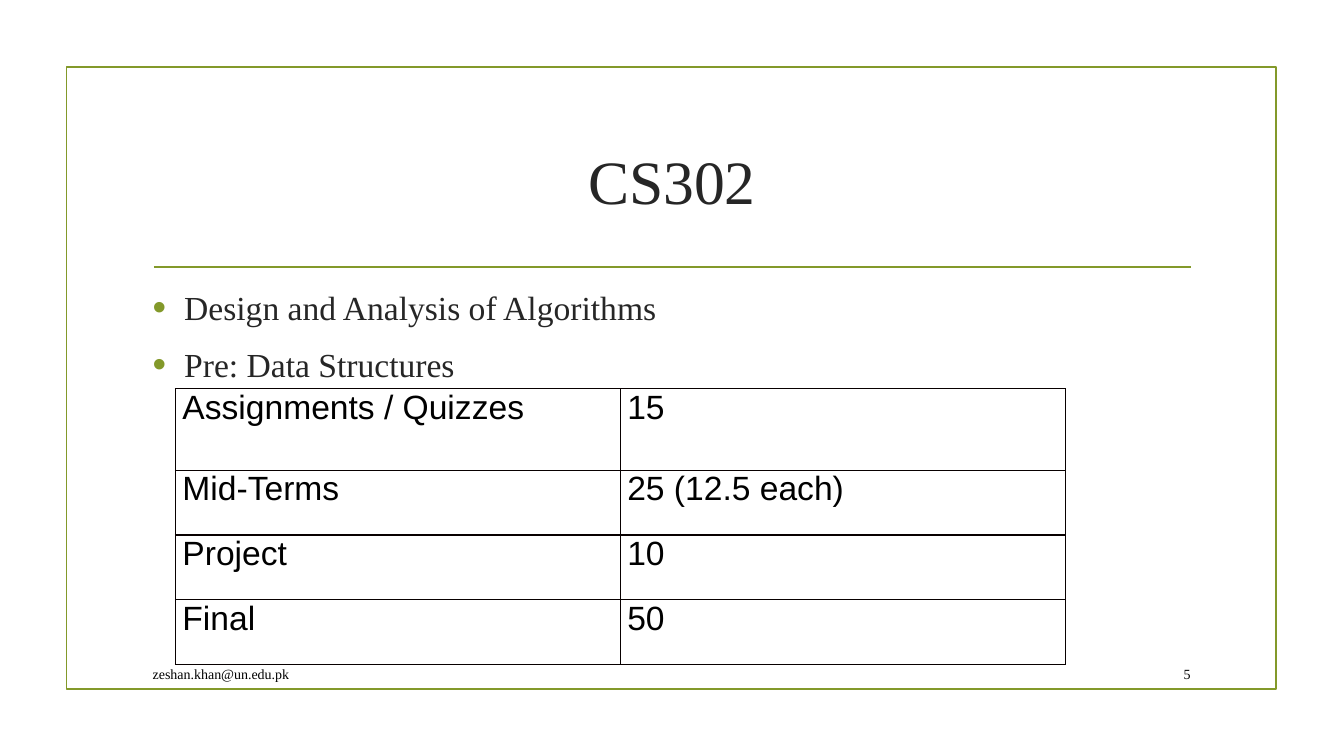
from dataclasses import dataclass

from lxml.etree import SubElement
from pptx import Presentation
from pptx.dml.color import RGBColor
from pptx.enum.shapes import MSO_CONNECTOR as Connector, MSO_SHAPE as Shape
from pptx.enum.text import MSO_ANCHOR as Anchor, PP_ALIGN as Align
from pptx.oxml import parse_xml
from pptx.oxml.ns import nsdecls, qn
from pptx.util import Pt


@dataclass(frozen=True)
class Theme:
    green: str = "83992A"
    ink: str = "262626"
    black: str = "000000"
    grid: str = "080000"
    serif: str = "Times New Roman"
    sans: str = "Arial"
    title: int = 44
    body: int = 24
    footer: int = 10
    rule: float = 1.25
    grid_width: float = 1


THEME = Theme()
GRADING = [
    ("Assignments / Quizzes", "15"),
    ("Mid-Terms", "25 (12.5 each)"),
    ("Project", "10"),
    ("Final", "50"),
]


def rgb(color):
    return RGBColor.from_string(color)


def write(para, text, *, size, font=THEME.serif, color=THEME.ink, align=Align.LEFT):
    para.alignment = align
    span = para.add_run()
    span.text = text
    span.font.size = Pt(size)
    span.font.name = font
    span.font.color.rgb = rgb(color)


def add_text(page, left, top, width, height, lines, *, anchor=Anchor.MIDDLE,
             bullets=False, **style):
    box = page.shapes.add_textbox(Pt(left), Pt(top), Pt(width), Pt(height))
    frame = box.text_frame
    frame.word_wrap = True
    frame.vertical_anchor = anchor
    for index, line in enumerate(lines):
        para = frame.add_paragraph() if index else frame.paragraphs[0]
        write(para, line, **style)
        if bullets:
            add_bullet(para)


def add_bullet(para):
    para.space_before, para.space_after = Pt(5.5), Pt(6)
    props = para._p.get_or_add_pPr()
    props.set("marL", str(Pt(22.5)))
    props.set("indent", str(-Pt(22.5)))
    color = SubElement(props, qn("a:buClr"))
    SubElement(color, qn("a:srgbClr"), val=THEME.green)
    SubElement(props, qn("a:buSzPct"), val="115000")
    SubElement(props, qn("a:buFont"), typeface=THEME.sans)
    SubElement(props, qn("a:buChar"), char="•")


def add_frame(page, left, top, width, height):
    frame = page.shapes.add_shape(Shape.RECTANGLE, Pt(left), Pt(top), Pt(width), Pt(height))
    frame.shadow.inherit = False
    frame.fill.background()
    frame.line.color.rgb = rgb(THEME.green)
    frame.line.width = Pt(THEME.rule)


def add_rule(page, left, right, y):
    rule = page.shapes.add_connector(Connector.STRAIGHT, Pt(left), Pt(y), Pt(right), Pt(y))
    rule.line.color.rgb = rgb(THEME.green)
    rule.line.width = Pt(THEME.rule)
    SubElement(rule._element.spPr, qn("a:effectLst"))


def add_borders(cell):
    props = cell._tc.get_or_add_tcPr()
    for index, side in enumerate(("lnL", "lnR", "lnT", "lnB")):
        props.insert(index, parse_xml(
            f'<a:{side} {nsdecls("a")} w="{Pt(THEME.grid_width)}"><a:solidFill>'
            f'<a:srgbClr val="{THEME.grid}"/></a:solidFill></a:{side}>'))


def add_grid(page, left, top, widths, heights, rows):
    table = page.shapes.add_table(len(rows), len(widths), Pt(left), Pt(top),
                                  Pt(sum(widths)), Pt(sum(heights))).table
    table.first_row = table.horz_banding = False
    for column, width in zip(table.columns, widths):
        column.width = Pt(width)
    for row, height, texts in zip(table.rows, heights, rows):
        row.height = Pt(height)
        for cell, text in zip(row.cells, texts):
            cell.margin_left = cell.margin_right = Pt(5.04)
            cell.margin_top = cell.margin_bottom = Pt(0)
            cell.fill.background()
            add_borders(cell)
            write(cell.text_frame.paragraphs[0], text, size=THEME.body,
                  font=THEME.sans, color=THEME.black)


def main():
    deck = Presentation()
    deck.slide_width, deck.slide_height = Pt(960), Pt(540)
    page = deck.slides.add_slide(deck.slide_layouts[6])

    # Frame and title rule
    add_frame(page, 47.6, 48, 864, 444.4)
    add_rule(page, 110, 850.5, 190.8)

    # Title and course facts
    add_text(page, 102, 77, 756, 103, ["CS302"], size=THEME.title, align=Align.CENTER)
    add_text(page, 102, 201.6, 756, 261.4,
             ["Design and Analysis of Algorithms", "Pre: Data Structures"],
             anchor=Anchor.TOP, bullets=True, size=THEME.body)

    # Footer
    footer = dict(size=THEME.footer, color=THEME.black)
    add_text(page, 102, 470, 575.3, 22.3, ["zeshan.khan@un.edu.pk"], **footer)
    add_text(page, 815, 470, 42.5, 22.3, ["5"], align=Align.RIGHT, **footer)

    # Grading scheme
    add_grid(page, 125.3, 277.6, [317.8] * 2, [58.4] + [46.2] * 3, GRADING)

    deck.save("out.pptx")


if __name__ == "__main__":
    main()
